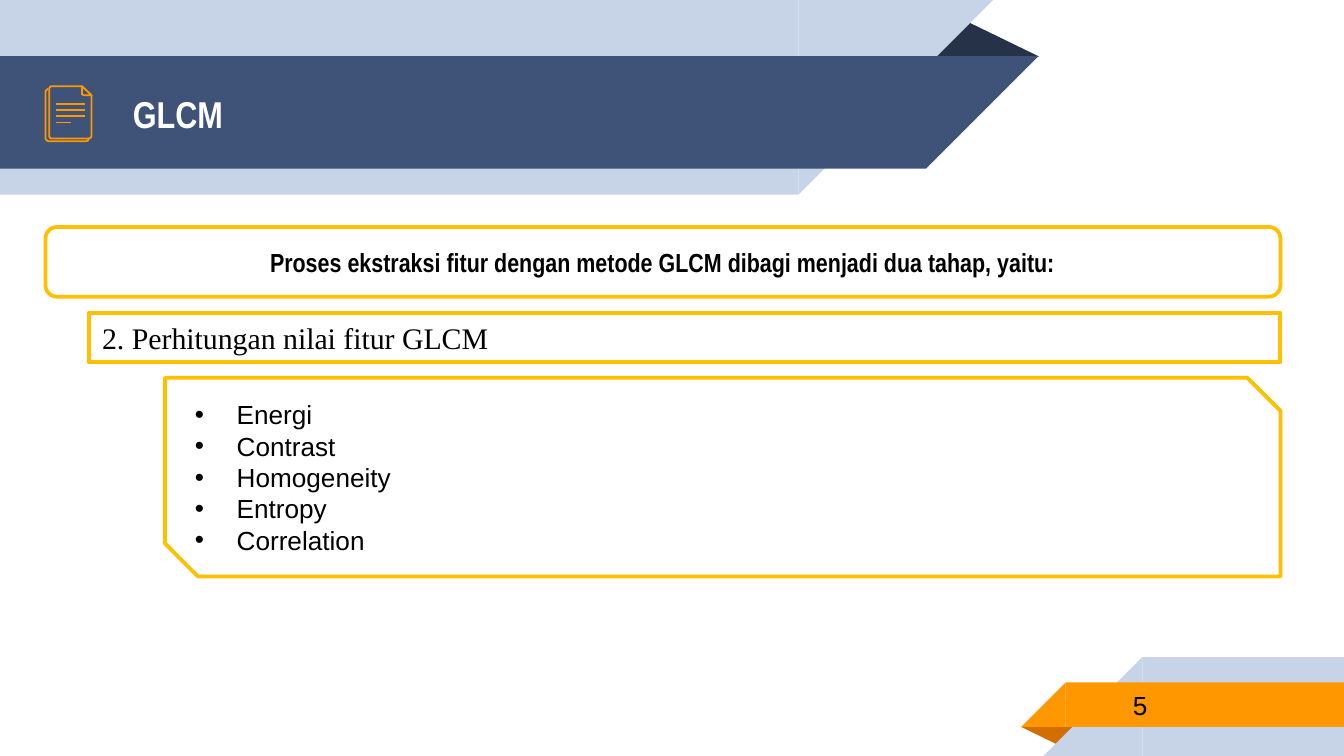
from lxml import etree
from pptx import Presentation
from pptx import util as u
from pptx.dml.color import RGBColor
from pptx.enum import shapes, text
from pptx.oxml.ns import qn

KIND = shapes.MSO_SHAPE
ANCHOR = text.MSO_ANCHOR
ALIGN = text.PP_ALIGN

PALE, BLUE, NAVY = "C7D3E6", "3F5378", "263248"
ORANGE, BROWN, GOLD = "FF9800", "D26F00", "FFC000"
BLACK, WHITE = "000000", "FFFFFF"

# All lengths are centimetres. Folds: left, top, width, height, rotation, colour
HEADER_FOLD = (17.48, 0.36, 2.16, 0.71, 0, NAVY)
FOOTER_FOLD = (19.3, 13.74, 1.09, 0.36, 180, BROWN)
# Bands: left, top, width, height, colour
HEADER_BANDS = [(0, 0, 15.09, 3.68, PALE), (0, 1.06, 17.5, 2.13, BLUE)]
FOOTER_BANDS = [(21.59, 12.42, 3.81, 1.87, PALE), (20.14, 12.9, 5.26, 0.84, ORANGE)]

# Icon outlines in hundredths of a centimetre: points, closed
ICON_OUTLINES = [
    ([(168, 262), (166, 266), (163, 267), (91, 267), (88, 265), (86, 262),
      (86, 173), (88, 170), (91, 168)], False),
    ([(173, 180), (173, 257), (172, 260), (168, 262), (97, 262), (94, 260),
      (93, 257), (93, 168), (94, 165), (97, 163), (155, 163)], False),
    ([(155, 178), (155, 163), (173, 180), (159, 180), (156, 179)], True),
]
ICON_LINE_LEFT, ICON_LINE_TOP, ICON_LINE_GAP = 1.06, 1.97, 0.115
ICON_LINE_WIDTHS = [0.55, 0.55, 0.55, 0.28]

LABELS = [
    dict(lines=["GLCM"], at=(2.26, 1.09, 14.61, 2.13), font="Arial Narrow",
         size=20, bold=True, color=WHITE),
    dict(lines=["5"], at=(21.16, 12.88, 4.14, 0.89), font="Arial", size=14),
]
BOXES = [
    dict(lines=["Proses ekstraksi fitur dengan metode GLCM dibagi menjadi dua tahap, yaitu:"],
         kind=KIND.ROUNDED_RECTANGLE, at=(0.86, 4.29, 23.34, 1.32), line=2,
         font="Arial Narrow", size=14, bold=True, align=ALIGN.CENTER),
    dict(lines=["2. Perhitungan nilai fitur GLCM"],
         kind=KIND.RECTANGLE, at=(1.68, 5.92, 22.52, 0.93), line=2.25,
         font="Times New Roman", size=16, anchor=ANCHOR.TOP),
    dict(lines=["Energi", "Contrast", "Homogeneity", "Entropy", "Correlation"],
         kind=KIND.SNIP_2_DIAG_RECTANGLE, at=(3.12, 7.14, 21.08, 3.76), line=2,
         font="Arial", size=14, bullets=True),
]


def rgb(value):
    return RGBColor.from_string(value)


def lengths(values):
    return [u.Cm(value) for value in values]


def add_shape(slide, kind, at, fill=None, line=None, rotation=0):
    """Add a preset shape; line is a (colour, points) pair."""
    shape = slide.shapes.add_shape(kind, *lengths(at))
    shape.rotation = rotation
    style_shape(shape, fill, line)
    return shape


def style_shape(shape, fill=None, line=None):
    shape.shadow.inherit = False
    if fill:
        shape.fill.solid()
        shape.fill.fore_color.rgb = rgb(fill)
    else:
        shape.fill.background()
    if line:
        shape.line.color.rgb = rgb(line[0])
        shape.line.width = u.Pt(line[1])
    else:
        shape.line.fill.background()


def add_band(slide, band, slant_on_right):
    """Add a rectangle and the square right triangle that slants its end."""
    left, top, width, height, color = band
    add_shape(slide, KIND.RECTANGLE, (left, top, width, height), color)
    tip = left + width if slant_on_right else left - height
    add_shape(slide, KIND.RIGHT_TRIANGLE, (tip, top, height, height), color,
              rotation=90 if slant_on_right else 270)


def add_ribbon(slide, fold, bands, slant_on_right):
    *at, rotation, color = fold
    triangle = add_shape(slide, KIND.ISOSCELES_TRIANGLE, at, color, rotation=rotation)
    triangle.adjustments[0] = 0.324
    for band in bands:
        add_band(slide, band, slant_on_right)


def add_icon(slide):
    stroke = (ORANGE, 0.96)
    for points, closed in ICON_OUTLINES:
        builder = slide.shapes.build_freeform(*points[0], scale=u.Cm(0.01))
        builder.add_line_segments(points[1:], close=closed)
        style_shape(builder.convert_to_shape(), line=stroke)
    for index, width in enumerate(ICON_LINE_WIDTHS):
        y = ICON_LINE_TOP + index * ICON_LINE_GAP
        ends = lengths((ICON_LINE_LEFT, y, ICON_LINE_LEFT + width, y))
        connector = slide.shapes.add_connector(shapes.MSO_CONNECTOR.STRAIGHT, *ends)
        connector.line.color.rgb = rgb(stroke[0])
        connector.line.width = u.Pt(stroke[1])
        etree.SubElement(connector.element.spPr, qn("a:effectLst"))


def add_bullet(paragraph):
    properties = paragraph._p.get_or_add_pPr()
    properties.set("marL", str(u.Cm(0.79)))
    properties.set("indent", str(u.Cm(-0.79)))
    font = etree.SubElement(properties, qn("a:buFont"))
    font.set("typeface", "Arial")
    etree.SubElement(properties, qn("a:buChar")).set("char", "•")


def write(shape, item):
    frame = shape.text_frame
    frame_format = dict(word_wrap=True, auto_size=text.MSO_AUTO_SIZE.NONE,
                        vertical_anchor=item.get("anchor", ANCHOR.MIDDLE))
    for name, value in frame_format.items():
        setattr(frame, name, value)
    font_format = dict(name=item["font"], size=u.Pt(item["size"]),
                       bold=item.get("bold", False))
    for index, line in enumerate(item["lines"]):
        paragraph = frame.add_paragraph() if index else frame.paragraphs[0]
        paragraph.alignment = item.get("align", ALIGN.LEFT)
        if item.get("bullets"):
            add_bullet(paragraph)
        run = paragraph.add_run()
        run.text = line
        for name, value in font_format.items():
            setattr(run.font, name, value)
        run.font.color.rgb = rgb(item.get("color", BLACK))


def main():
    presentation = Presentation()
    presentation.slide_width, presentation.slide_height = lengths((25.4, 14.29))
    slide = presentation.slides.add_slide(presentation.slide_layouts[6])
    add_ribbon(slide, HEADER_FOLD, HEADER_BANDS, slant_on_right=True)
    add_ribbon(slide, FOOTER_FOLD, FOOTER_BANDS, slant_on_right=False)
    add_icon(slide)
    for label in LABELS:
        write(slide.shapes.add_textbox(*lengths(label["at"])), label)
    for box in BOXES:
        write(add_shape(slide, box["kind"], box["at"], line=(GOLD, box["line"])), box)
    presentation.save("out.pptx")


if __name__ == "__main__":
    main()
